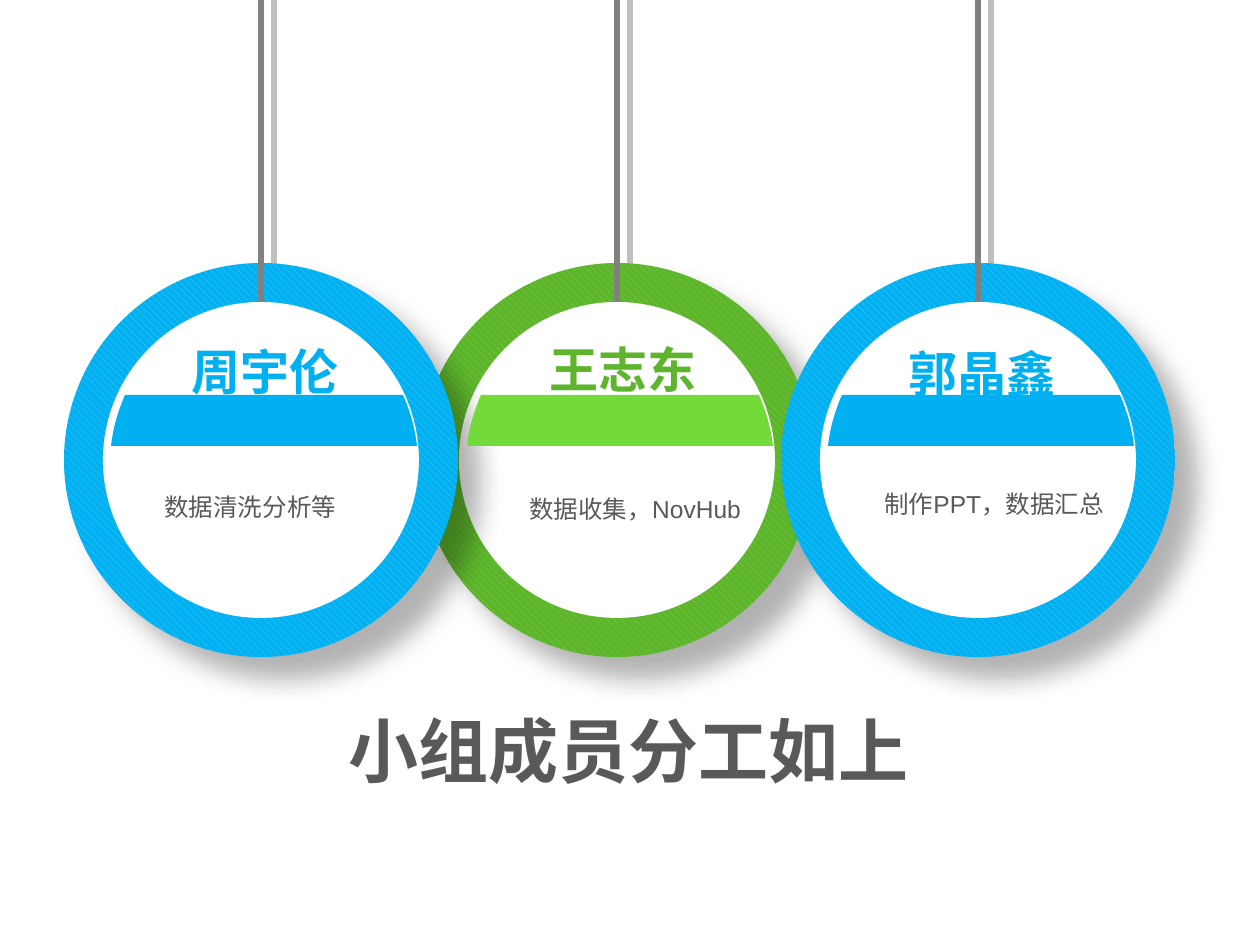
from dataclasses import dataclass

from lxml import etree
from pptx import Presentation
from pptx import util as u
from pptx.dml.color import RGBColor
from pptx.enum import dml, shapes, text
from pptx.oxml import ns

SCALE = 914400 / 126
BLUE, LIGHT_BLUE = RGBColor(0x00, 0xB0, 0xF0), RGBColor(0x4F, 0xD1, 0xFF)
GREEN, LIGHT_GREEN = RGBColor(0x5E, 0xB5, 0x2D), RGBColor(0x73, 0xDB, 0x39)
ROD_GREY, SHADE_GREY = RGBColor(0x80, 0x80, 0x80), RGBColor(0xBF, 0xBF, 0xBF)
TEXT_GREY, WHITE = RGBColor(0x59, 0x59, 0x59), RGBColor(0xFF, 0xFF, 0xFF)
RING_TOP, RING_SIZE, RING_INSET = 263, 394, 39
HOLE_TOP = RING_TOP + RING_INSET
SHADE_SHIFT = 13
# Right edge of a band as cubic control points, measured from the band's middle
BAND_EDGE = ((139, 395), (146, 411), (151, 428), (153, 446))
BAND_SHIFT, BAND_STEPS = 3, 12


@dataclass(frozen=True)
class Box:
    """A rectangle in pixels."""
    left: int
    top: int
    width: int
    height: int


@dataclass(frozen=True)
class Member:
    """One hanging ring with a name and a task."""
    centre: int
    main: RGBColor
    stripe: RGBColor
    band: RGBColor
    name: str
    name_box: Box
    task: str
    task_box: Box
    task_align: text.PP_ALIGN


LEFT, JUSTIFY = text.PP_ALIGN.LEFT, text.PP_ALIGN.JUSTIFY
# From back to front
MEMBERS = (
    Member(617, GREEN, LIGHT_GREEN, LIGHT_GREEN, "王志东", Box(537, 316, 190, 83),
           "数据收集，NovHub", Box(517, 488, 275, 43), JUSTIFY),
    Member(261, BLUE, LIGHT_BLUE, BLUE, "周宇伦", Box(179, 318, 202, 83),
           "数据清洗分析等", Box(152, 486, 275, 43), JUSTIFY),
    Member(978, BLUE, LIGHT_BLUE, BLUE, "郭晶鑫", Box(896, 320, 183, 83),
           "制作PPT，数据汇总", Box(872, 483, 275, 43), LEFT),
)


def px(value: float) -> u.Emu:
    """Turn pixels into EMU."""
    return u.Emu(round(value * SCALE))


def add_effects(properties) -> etree._Element:
    """Append an empty effect list to shape properties."""
    return etree.SubElement(properties, ns.qn("a:effectLst"))


def add_rod(slide, x: int, color: RGBColor) -> None:
    """Draw a vertical rod from the top edge to the ring's hole."""
    rod = slide.shapes.add_connector(shapes.MSO_CONNECTOR.STRAIGHT, px(x), 0, px(x), px(HOLE_TOP))
    rod.line.color.rgb = color
    rod.line.width = u.Pt(3)
    add_effects(rod._element.spPr)


def add_disc(slide, centre: int, inset: int):
    """Add a round shape centred on a ring and return it."""
    size = RING_SIZE - 2 * inset
    disc = slide.shapes.add_shape(shapes.MSO_SHAPE.OVAL, px(centre - size / 2),
                                  px(RING_TOP + inset), px(size), px(size))
    disc.line.fill.background()
    return disc


def add_ring(slide, member: Member) -> None:
    """Draw a striped disc with a soft shadow and a white hole."""
    disc = add_disc(slide, member.centre, 0)
    disc.fill.patterned()
    disc.fill.pattern = dml.MSO_PATTERN.WIDE_DOWNWARD_DIAGONAL
    disc.fill.fore_color.rgb = member.stripe
    disc.fill.back_color.rgb = member.main
    shadow = etree.SubElement(
        add_effects(disc._element.spPr), ns.qn("a:outerShdw"), blurRad=str(u.Pt(15)),
        dist=str(u.Pt(18)), dir=str(45 * 60000), algn="tl", rotWithShape="0")
    tint = etree.SubElement(shadow, ns.qn("a:srgbClr"), val="000000")
    etree.SubElement(tint, ns.qn("a:alpha"), val="30000")

    hole = add_disc(slide, member.centre, RING_INSET)
    hole.fill.solid()
    hole.fill.fore_color.rgb = WHITE
    hole.shadow.inherit = False


def edge_point(t: float) -> tuple[float, float]:
    """Return the point of the band's edge curve at t."""
    weights = ((1 - t) ** 3, 3 * t * (1 - t) ** 2, 3 * t * t * (1 - t), t ** 3)
    x, y = (sum(w * p[axis] for w, p in zip(weights, BAND_EDGE)) for axis in (0, 1))
    return x, y


def add_band(slide, member: Member) -> None:
    """Draw the coloured band with curved ends."""
    middle = member.centre + BAND_SHIFT
    edge = [edge_point(step / BAND_STEPS) for step in range(BAND_STEPS + 1)]
    outline = [(middle + x, y) for x, y in edge] + [(middle - x, y) for x, y in reversed(edge)]
    points = [(px(x), px(y)) for x, y in outline]
    builder = slide.shapes.build_freeform(*points[0], scale=1.0)
    builder.add_line_segments(points[1:], close=True)
    band = builder.convert_to_shape()
    band.fill.solid()
    band.fill.fore_color.rgb = member.band
    band.line.fill.background()
    band.shadow.inherit = False


def add_text(slide, area: Box, words: str, size: int, font: str, color: RGBColor,
             bold: bool = False, align: text.PP_ALIGN = LEFT, spacing: float = 1.0):
    """Add a one-line text box and return its run."""
    box = slide.shapes.add_textbox(px(area.left), px(area.top), px(area.width), px(area.height))
    box.text_frame.word_wrap = True
    box.text_frame.auto_size = text.MSO_AUTO_SIZE.SHAPE_TO_FIT_TEXT
    para = box.text_frame.paragraphs[0]
    para.alignment = align
    para.line_spacing = spacing
    span = para.add_run()
    span.text = words
    span.font.size = u.Pt(size)
    span.font.name = font
    span.font.bold = bold
    span.font.color.rgb = color
    return span


def add_outline(span) -> None:
    """Give a run a thin white outline."""
    line = etree.Element(ns.qn("a:ln"), w=str(u.Pt(1.5)))
    fill = etree.SubElement(line, ns.qn("a:solidFill"))
    etree.SubElement(fill, ns.qn("a:srgbClr"), val=str(WHITE))
    span._r.get_or_add_rPr().insert(0, line)


def main() -> None:
    """Build and save the slide."""
    deck = Presentation()
    deck.slide_width, deck.slide_height = u.Inches(10), u.Inches(7.5)
    page = deck.slides.add_slide(deck.slide_layouts[6])
    for member in MEMBERS:
        add_rod(page, member.centre + SHADE_SHIFT, SHADE_GREY)
    for member in MEMBERS:
        add_ring(page, member)
    for member in MEMBERS:
        add_rod(page, member.centre, ROD_GREY)
        add_band(page, member)
    for member in MEMBERS:
        add_outline(add_text(page, member.name_box, member.name, 28, "Roboto",
                             member.main, bold=True, spacing=1.3))
        add_text(page, member.task_box, member.task, 14, "Arial", TEXT_GREY,
                 align=member.task_align)
    add_text(page, Box(253, 701, 751, 97), "小组成员分工如上", 40, "Roboto", TEXT_GREY,
             bold=True, align=text.PP_ALIGN.CENTER)
    deck.save("out.pptx")


main()
